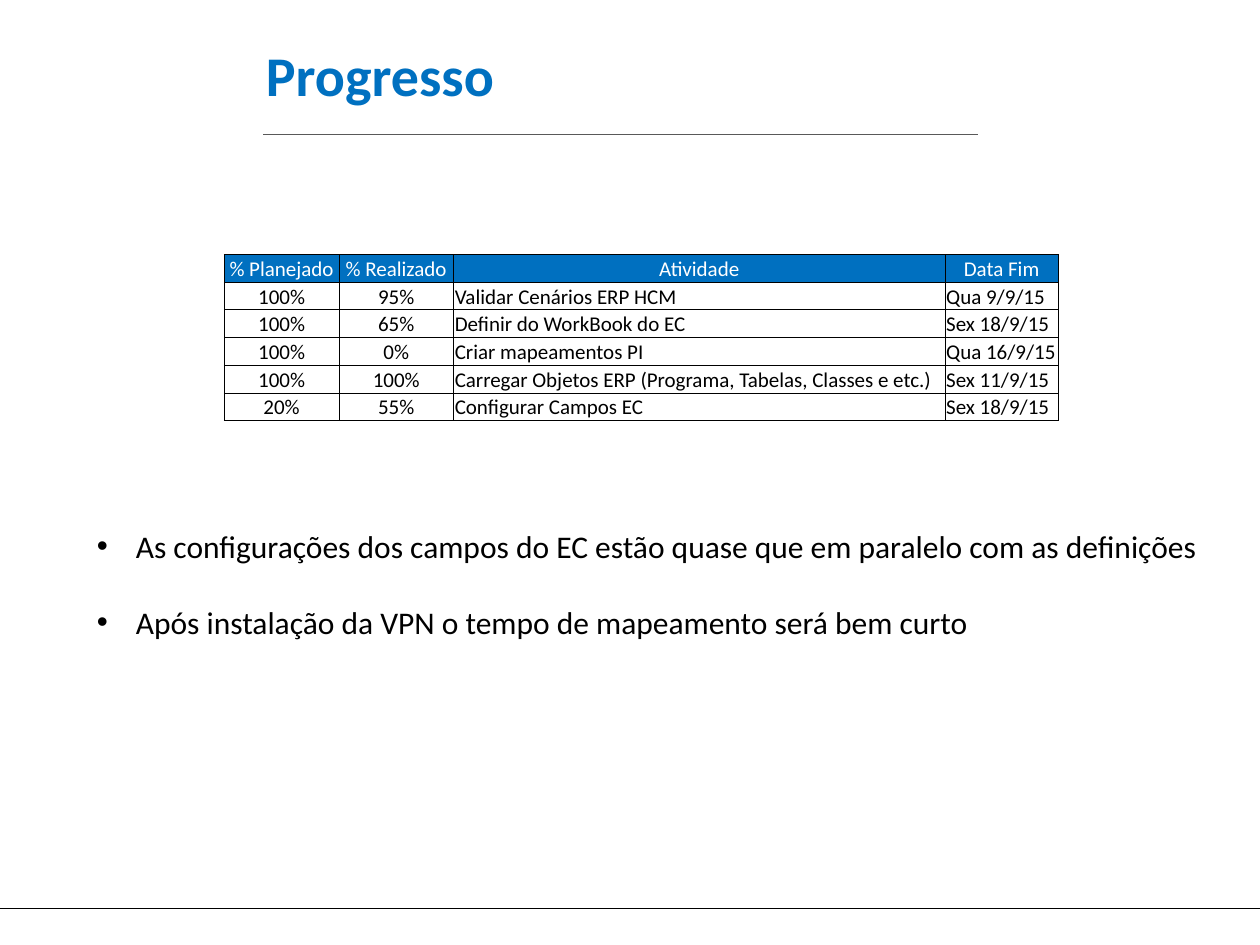
from lxml import etree
from pptx import Presentation
from pptx.dml.color import RGBColor
from pptx.enum.shapes import MSO_CONNECTOR
from pptx.enum.text import MSO_ANCHOR, PP_ALIGN
from pptx.oxml.ns import qn
from pptx.util import Inches, Pt

STRAIGHT = MSO_CONNECTOR.STRAIGHT
MIDDLE, BOTTOM = MSO_ANCHOR.MIDDLE, MSO_ANCHOR.BOTTOM
LEFT, CENTER = PP_ALIGN.LEFT, PP_ALIGN.CENTER

COLORS = {"blue": "0070C0", "black": "000000", "white": "FFFFFF", "gray": "595959"}
FONT = "Calibri"

TITLE = "Progresso"
HEADER = ("% Planejado", "% Realizado", "Atividade", "Data Fim")
ACTIVITIES = [
    ("100%", "95%", "Validar Cenários ERP HCM", "Qua 9/9/15"),
    ("100%", "65%", "Definir do WorkBook do EC", "Sex 18/9/15"),
    ("100%", "0%", "Criar mapeamentos PI", "Qua 16/9/15"),
    ("100%", "100%", "Carregar Objetos ERP (Programa, Tabelas, Classes e etc.)", "Sex 11/9/15"),
    ("20%", "55%", "Configurar Campos EC", "Sex 18/9/15"),
]
NOTES = [
    "As configurações dos campos do EC estão quase que em paralelo com as definições",
    "Após instalação da VPN o tempo de mapeamento será bem curto",
]
RULES = [
    (0, 10, 7.21, "black", 0.75),
    (2.09, 7.76, 1.07, "gray", 0.5),
]
COLUMN_WIDTHS = (0.91, 0.91, 3.9, 0.9)
ROW_HEIGHT = 0.22
BULLET_INDENT = 0.31


def rgb(name):
    return RGBColor.from_string(COLORS[name])


def write(para, text, size, color="black", bold=False, align=LEFT):
    para.alignment = align
    span = para.add_run()
    span.text = text
    span.font.name = FONT
    span.font.size = Pt(size)
    span.font.bold = bold
    span.font.color.rgb = rgb(color)


def add_rule(page, left, right, top, color, width):
    rule = page.shapes.add_connector(
        STRAIGHT, Inches(left), Inches(top), Inches(right), Inches(top))
    rule.line.color.rgb = rgb(color)
    rule.line.width = Pt(width)
    etree.SubElement(rule._element.spPr, qn("a:effectLst"))


def add_borders(cell, color, width):
    properties = cell._tc.get_or_add_tcPr()
    for position, side in enumerate(("lnL", "lnR", "lnT", "lnB")):
        border = etree.Element(qn(f"a:{side}"), w=str(Pt(width)))
        fill = etree.SubElement(border, qn("a:solidFill"))
        etree.SubElement(fill, qn("a:srgbClr"), val=COLORS[color])
        properties.insert(position, border)


def add_bullet(para):
    properties = para._p.get_or_add_pPr()
    properties.set("marL", str(Inches(BULLET_INDENT)))
    properties.set("indent", str(-Inches(BULLET_INDENT)))
    etree.SubElement(properties, qn("a:buFont"), typeface="Arial")
    etree.SubElement(properties, qn("a:buChar"), char="•")


def add_title(page):
    title = page.shapes.title
    title.left, title.top = Inches(2.01), Inches(0.15)
    title.width, title.height = Inches(6.17), Inches(0.87)
    title.text_frame.vertical_anchor = MIDDLE
    write(title.text_frame.paragraphs[0], TITLE, 32, color="blue", bold=True)


def add_activities(page):
    rows = [HEADER] + ACTIVITIES
    table = page.shapes.add_table(
        len(rows), len(HEADER), Inches(1.78), Inches(2.02),
        Inches(sum(COLUMN_WIDTHS)), Inches(ROW_HEIGHT * len(rows))).table
    for column, width in zip(table.columns, COLUMN_WIDTHS):
        column.width = Inches(width)
    for row_index, texts in enumerate(rows):
        table.rows[row_index].height = Inches(ROW_HEIGHT)
        is_header = row_index == 0
        for column_index, text in enumerate(texts):
            cell = table.cell(row_index, column_index)
            cell.margin_left = cell.margin_right = cell.margin_top = Inches(0.01)
            cell.margin_bottom = 0
            cell.vertical_anchor = BOTTOM
            cell.fill.solid()
            cell.fill.fore_color.rgb = rgb("blue" if is_header else "white")
            add_borders(cell, "black", 0.5)
            write(cell.text_frame.paragraphs[0], text, 12,
                  color="white" if is_header else "black",
                  align=CENTER if is_header or column_index < 2 else LEFT)


def add_notes(page):
    box = page.shapes.add_textbox(Inches(0.67), Inches(4.13), Inches(9.04), Inches(1.31))
    frame = box.text_frame
    frame.word_wrap = True
    for index, text in enumerate(NOTES):
        para = frame.add_paragraph() if index else frame.paragraphs[0]
        if index:
            para.space_before = Pt(22)
        write(para, text, 18)
        add_bullet(para)


def main():
    deck = Presentation()
    deck.slide_width, deck.slide_height = Inches(10), Inches(7.5)
    page = deck.slides.add_slide(deck.slide_layouts[5])
    for rule in RULES:
        add_rule(page, *rule)
    add_title(page)
    add_activities(page)
    add_notes(page)
    deck.save("out.pptx")


if __name__ == "__main__":
    main()
